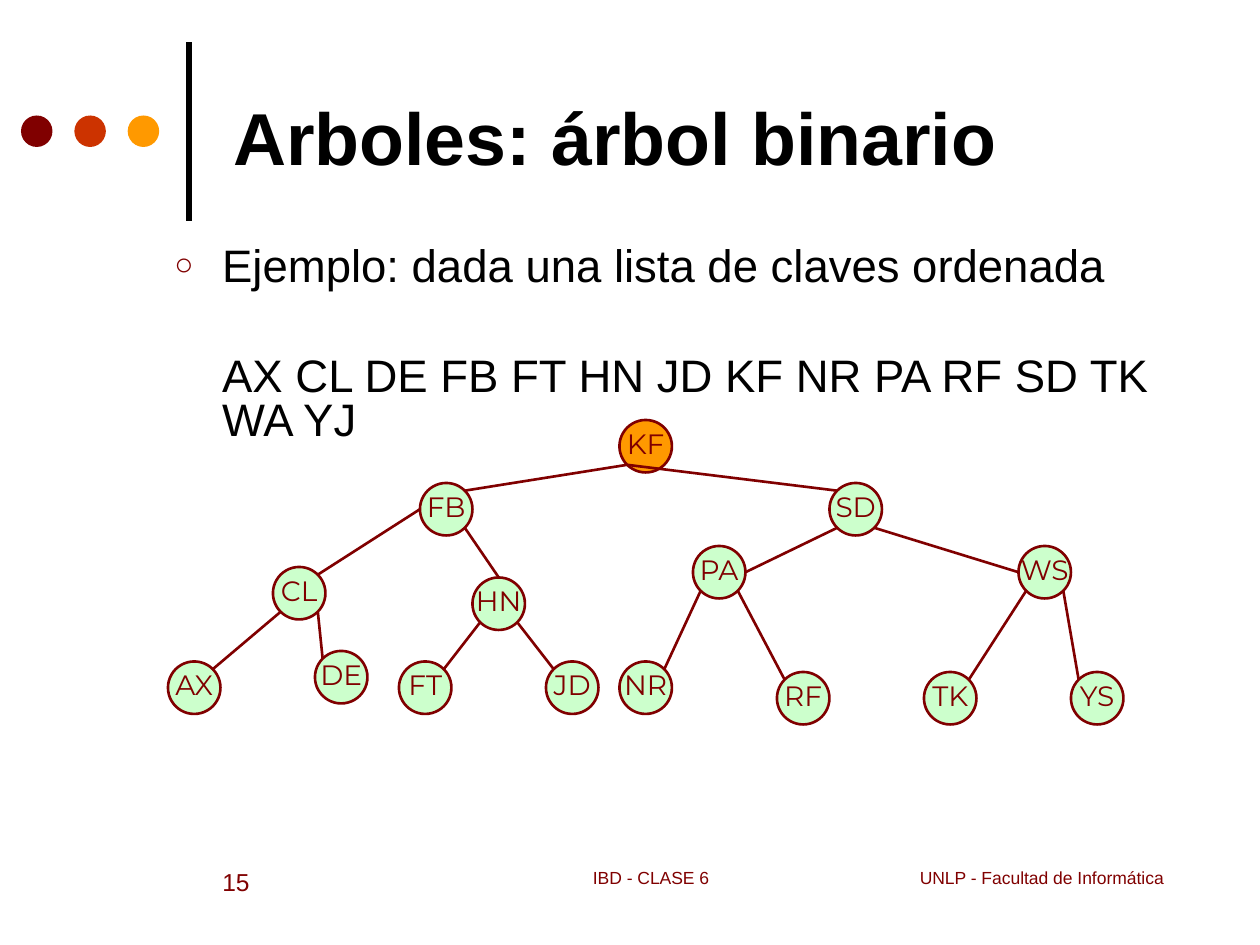
from lxml.etree import SubElement
from pptx import Presentation
from pptx.dml.color import RGBColor
from pptx.enum.shapes import MSO_CONNECTOR as CONN, MSO_SHAPE as SHAPE
from pptx.enum.text import MSO_ANCHOR as ANCHOR, MSO_AUTO_SIZE as FIT, PP_ALIGN as ALIGN
from pptx.oxml.ns import qn
from pptx.util import Inches, Pt

C = {"black": "000000", "maroon": "800000", "red": "CC3300",
     "orange": "FF9900", "green": "CCFFCC"}
C = {name: RGBColor.from_string(value) for name, value in C.items()}

prs = Presentation()
prs.slide_width, prs.slide_height = Inches(10), Inches(7.5)
U = prs.slide_width / 120  # grid of 120 columns by 90 rows
s = prs.slides.add_slide(prs.slide_layouts[1])


def add_run(p, text, size, color, font="Arial", bold=False):
    r = p.add_run()
    r.text = text
    r.font.size, r.font.name, r.font.bold = Pt(size), font, bold
    r.font.color.rgb = C[color]


def add_line(x1, y1, x2, y2, color, width):
    ln = s.shapes.add_connector(CONN.STRAIGHT, *(int(v * U) for v in (x1, y1, x2, y2)))
    ln.line.color.rgb, ln.line.width = C[color], Pt(width)
    SubElement(ln._element.spPr, qn("a:effectLst"))


# Rule and three dots beside the title
add_line(18, 21, 18, 4, "black", 3)
for i, color in enumerate(("maroon", "red", "orange")):
    sp = s.shapes.add_shape(SHAPE.OVAL, *(int(v * U) for v in (2 + 5.08 * i, 11, 3, 3)))
    sp.shadow.inherit = False
    sp.fill.solid()
    sp.fill.fore_color.rgb = C[color]
    sp.line.fill.background()

# Title and body placeholders
title, body = s.shapes.title, s.placeholders[1]
for sp, box, anchor in ((title, (21, 10, 84, 6), ANCHOR.MIDDLE),
                        (body, (15.4, 23, 102, 57), ANCHOR.TOP)):
    sp.left, sp.top, sp.width, sp.height = (int(v * U) for v in box)
    sp.text_frame.auto_size = FIT.NONE
    sp.text_frame.vertical_anchor = anchor
p = title.text_frame.paragraphs[0]
p.alignment = ALIGN.LEFT
add_run(p, "Arboles: árbol binario", 42, "black", bold=True)

tf = body.text_frame
for i, (text, before) in enumerate((
        ("Ejemplo: dada una lista de claves ordenada", 6.5),
        ("AX CL DE FB FT HN JD KF NR PA RF SD TK WA YJ", 38))):
    p = tf.add_paragraph() if i else tf.paragraphs[0]
    p.line_spacing, p.space_before = 0.8, Pt(before)
    pPr = p._p.get_or_add_pPr()
    pPr.set("marL", str(Inches(0.38)))
    pPr.set("indent", str(0 if i else -Inches(0.38)))
    if i:
        SubElement(pPr, qn("a:buNone"))
    else:
        SubElement(SubElement(pPr, qn("a:buClr")), qn("a:srgbClr"), val=str(C["maroon"]))
        SubElement(pPr, qn("a:buSzPct"), val="70000")
        SubElement(pPr, qn("a:buChar"), char="○")
    add_run(p, text, 26, "black")

# Tree nodes: column and row of each circle's top left corner
D = 5
nodes = {
    "KF": (59, 40), "FB": (40, 46), "SD": (79, 46),
    "CL": (26, 54), "HN": (45, 55), "PA": (66, 52), "WS": (97, 52),
    "AX": (16, 63), "DE": (30, 62), "FT": (38, 63), "JD": (52, 63),
    "NR": (59, 63), "RF": (74, 64), "TK": (88, 64), "YS": (102, 64),
}
for key, (x, y) in nodes.items():
    sp = s.shapes.add_shape(SHAPE.OVAL, *(int(v * U) for v in (x, y, D, D)))
    sp.shadow.inherit = False
    sp.fill.solid()
    sp.fill.fore_color.rgb = C["orange" if key == "KF" else "green"]
    sp.line.color.rgb, sp.line.width = C["maroon"], Pt(1.5)
    tf = sp.text_frame
    tf.margin_left = tf.margin_right = tf.margin_top = 0
    tf.margin_bottom = Inches(0.05)
    tf.word_wrap, tf.vertical_anchor = False, ANCHOR.MIDDLE
    p = tf.paragraphs[0]
    p.alignment = ALIGN.CENTER
    add_run(p, key, 16, "maroon", "Montserrat")

# Branches run between compass points on the circles
near, far = 0.146 * D, 0.854 * D
points = {"n": (D / 2, 0), "w": (0, D / 2), "e": (D, D / 2),
          "nw": (near, near), "ne": (far, near), "sw": (near, far), "se": (far, far)}
branches = """KF sw FB ne, KF sw SD nw, FB w CL ne, FB se HN n, SD sw PA e, SD se WS w,
    CL sw AX ne, CL se DE nw, HN sw FT ne, HN se JD nw,
    PA sw NR ne, PA se RF nw, WS sw TK ne, WS se YS nw"""
for branch in branches.split(","):
    parent, start, child, end = branch.split()
    (x1, y1), (x2, y2) = nodes[parent], nodes[child]
    (dx1, dy1), (dx2, dy2) = points[start], points[end]
    add_line(x1 + dx1, y1 + dy1, x2 + dx2, y2 + dy2, "maroon", 1.5)

# Footer
for text, x, w, size, align in (
        ("IBD - CLASE 6", 43, 38, 10, ALIGN.CENTER),
        ("15", 20, 17, 14, ALIGN.LEFT),
        ("UNLP - Facultad de Informática", 79.8, 32.2, 10, ALIGN.RIGHT)):
    tf = s.shapes.add_textbox(*(int(v * U) for v in (x, 82, w, 6))).text_frame
    tf.word_wrap = True
    p = tf.paragraphs[0]
    p.alignment = align
    add_run(p, text, size, "maroon")

prs.save("out.pptx")
